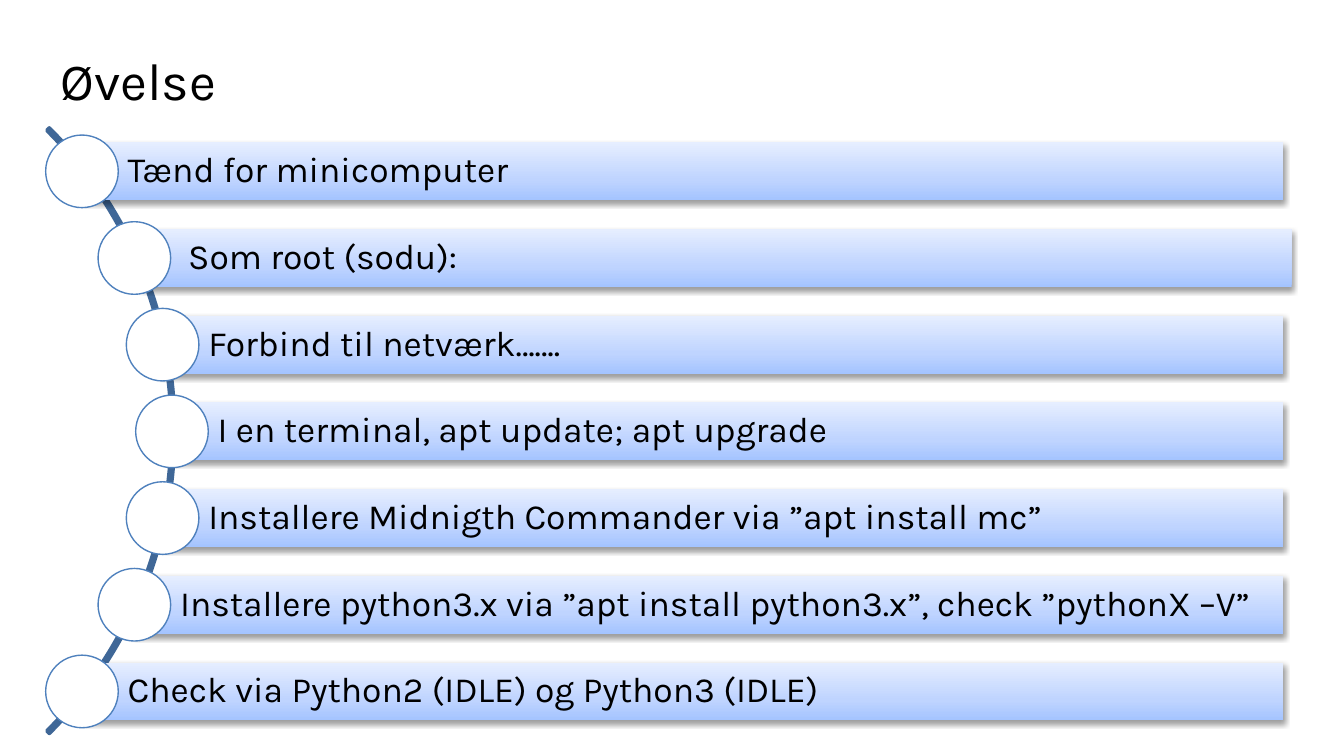
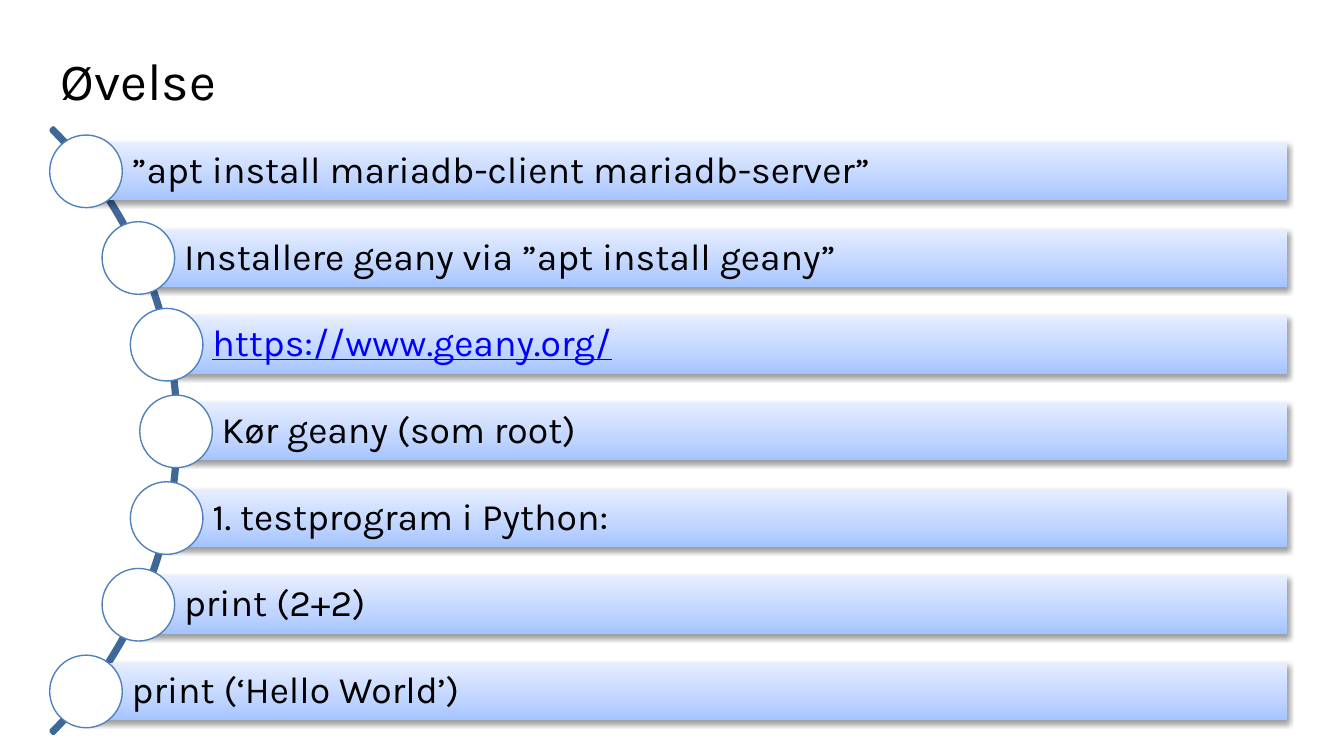
from dataclasses import dataclass
from typing import Any

from pptx import Presentation
from pptx.dml.color import RGBColor
from pptx.enum.shapes import MSO_SHAPE
from pptx.enum.text import MSO_ANCHOR, PP_ALIGN
from pptx.oxml import parse_xml
from pptx.oxml.ns import nsdecls, qn
from pptx.util import Inches, Pt

BLACK = RGBColor(0x00, 0x00, 0x00)
WHITE = RGBColor(0xFF, 0xFF, 0xFF)
BLUE = RGBColor(0x4F, 0x81, 0xBD)
NAVY = RGBColor(0x3F, 0x67, 0x97)
LINK = RGBColor(0x00, 0x00, 0xFF)
DEEP = RGBColor(0xA4, 0xC4, 0xFF)
MID = RGBColor(0xBF, 0xD4, 0xFF)
PALE = RGBColor(0xE6, 0xEE, 0xFF)
STOPS = ((0, DEEP), (35, MID), (100, PALE))

FONT = "Karla"
TITLE = "Øvelse"
WIDE = Inches(10)
HIGH = WIDE * 9 // 16
BENDS = (0, 0.39, 0.6, 0.67, 0.6, 0.39, 0)
TOP, LAST = 1.06, 4.93
PITCH = (LAST - TOP) / (len(BENDS) - 1)
TALL, DOT, ARC = 0.43, 0.54, 6.37
REACH = 8.94


@dataclass
class Step:
    text: str
    shift: float = 0
    link: bool = False


@dataclass
class Page:
    left: float
    size: int
    inset: float
    steps: list[Step]


PAGES = [
    Page(0.61, 19, 0.05, [
        Step("Tænd for minicomputer"),
        Step("Som root (sodu):", shift=0.06),
        Step("Forbind til netværk……."),
        Step("I en terminal, apt update; apt upgrade"),
        Step("Installere Midnigth Commander via ”apt install mc”"),
        Step("Installere python3.x via ”apt install python3.x”, check ”pythonX –V”"),
        Step("Check via Python2 (IDLE) og Python3 (IDLE)"),
    ]),
    Page(0.64, 20, 0.06, [
        Step("”apt install mariadb-client mariadb-server”"),
        Step("Installere geany via ”apt install geany”"),
        Step("https://www.geany.org/", link=True),
        Step("Kør geany (som root)"),
        Step("1. testprogram i Python:"),
        Step("print (2+2)"),
        Step("print (‘Hello World’)"),
    ]),
]


def apply(target: Any, values: dict[str, Any]) -> None:
    for name, value in values.items():
        setattr(target, name, value)


def write(shape: Any, text: str, size: int, color: RGBColor, pads: tuple,
          anchor: Any, under: bool = False, space: float = 1.0) -> None:
    frame = shape.text_frame
    frame.text = text
    sides = ("margin_left", "margin_top", "margin_right", "margin_bottom")
    apply(frame, {side: Inches(pad) for side, pad in zip(sides, pads)})
    apply(frame, {"word_wrap": True, "vertical_anchor": anchor})
    para = frame.paragraphs[0]
    apply(para, {"alignment": PP_ALIGN.LEFT, "line_spacing": space})
    font = para.runs[0].font
    apply(font, {"name": FONT, "size": Pt(size), "underline": under})
    font.color.rgb = color


def draw(slide: Any, kind: Any, left: float, top: float,
         wide: float, tall: float) -> Any:
    shape = slide.shapes.add_shape(
        kind, Inches(left), Inches(top), Inches(wide), Inches(tall))
    shape.shadow.inherit = False
    return shape


def edge(shape: Any, color: RGBColor, width: float) -> None:
    shape.line.color.rgb = color
    shape.line.width = Pt(width)


def shade(shape: Any) -> None:
    props = shape._element.spPr
    stops = "".join(
        f'<a:gs pos="{pos * 1000}"><a:srgbClr val="{color}"/></a:gs>'
        for pos, color in STOPS)
    props.find(qn("a:prstGeom")).addnext(parse_xml(
        f'<a:gradFill {nsdecls("a")} rotWithShape="1"><a:gsLst>{stops}</a:gsLst>'
        '<a:lin ang="16200000" scaled="0"/></a:gradFill>'))
    props.find(qn("a:effectLst")).append(parse_xml(
        f'<a:outerShdw {nsdecls("a")} blurRad="{Pt(3.1)}" dist="{Pt(1.6)}" '
        'dir="5400000" rotWithShape="0"><a:srgbClr val="000000">'
        '<a:alpha val="38000"/></a:srgbClr></a:outerShdw>'))


def head(slide: Any) -> None:
    title = slide.shapes.title
    apply(title, {"left": Inches(0.31), "top": Inches(0.22),
                  "width": Inches(6.77), "height": Inches(1)})
    write(title, TITLE, 28, BLACK, (0.14,) * 4, MSO_ANCHOR.TOP)


def curve(slide: Any, page: Page) -> None:
    arc = draw(slide, MSO_SHAPE.BLOCK_ARC, page.left - 5.68, 0.02, ARC, ARC)
    for index, value in enumerate((189, 27, 0.004)):
        arc.adjustments[index] = value
    arc.fill.background()
    edge(arc, NAVY, 2)


def row(slide: Any, page: Page, step: Step, bend: float, top: float) -> None:
    left = page.left + bend
    bar = draw(slide, MSO_SHAPE.RECTANGLE, left + step.shift, top,
               REACH - bend, TALL)
    bar.line.fill.background()
    shade(bar)
    write(bar, step.text, page.size, LINK if step.link else BLACK,
          (0.34,) + (page.inset,) * 3, MSO_ANCHOR.MIDDLE, step.link, 0.9)
    dot = draw(slide, MSO_SHAPE.OVAL, left - DOT / 2,
               top + (TALL - DOT) / 2, DOT, DOT)
    dot.fill.solid()
    dot.fill.fore_color.rgb = WHITE
    edge(dot, BLUE, 0.75)


def main() -> None:
    deck = Presentation()
    apply(deck, {"slide_width": WIDE, "slide_height": HIGH})
    for page in PAGES:
        slide = deck.slides.add_slide(deck.slide_layouts[5])
        head(slide)
        curve(slide, page)
        for index, (step, bend) in enumerate(zip(page.steps, BENDS)):
            row(slide, page, step, bend, TOP + index * PITCH)
    deck.save("out.pptx")


if __name__ == "__main__":
    main()
